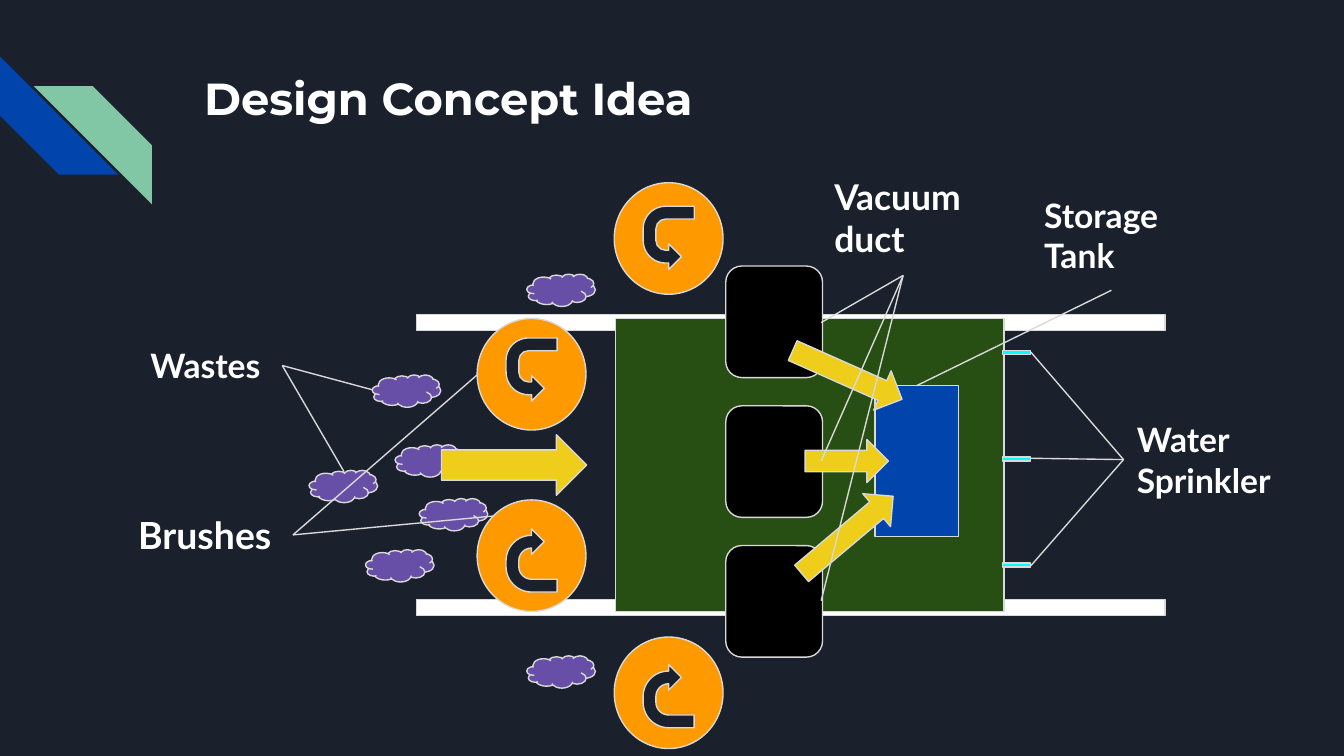
from lxml import etree
from pptx import Presentation
from pptx.dml.color import RGBColor as RGB
from pptx.enum.shapes import MSO_CONNECTOR as LINK, MSO_SHAPE as KIND
from pptx.oxml.ns import qn
from pptx.util import Inches, Pt

HUES = {
    "night": "1B212C", "blue": "0145AC", "mint": "82C7A5", "waste": "674EA7",
    "white": "FFFFFF", "edge": "D9D9D9", "green": "274E13", "brush": "FF9900",
    "flow": "EECE1A", "black": "000000", "water": "00FFFF",
}
HUES = {name: RGB.from_string(code) for name, code in HUES.items()}

# A 16:9 slide
deck = Presentation()
deck.slide_width, deck.slide_height = Inches(10), Inches(10 * 9 / 16)
slide = deck.slides.add_slide(deck.slide_layouts[6])
slide.background.fill.solid()
slide.background.fill.fore_color.rgb = HUES["night"]


def draw(kind, box, hue, turn=0, flip=False, adj=(), edge=True):
    shape = slide.shapes.add_shape(kind, *map(Inches, box))
    shape.shadow.inherit = False
    shape.fill.solid()
    shape.fill.fore_color.rgb = HUES[hue]
    if edge:
        shape.line.color.rgb = HUES["edge"]
        shape.line.width = Pt(0.75)
    else:
        shape.line.fill.background()
    for i, value in enumerate(adj):
        shape.adjustments[i] = value
    shape.rotation = turn
    if flip:
        shape._element.spPr.xfrm.set("flipH", "1")


def write(text, box, size, face="Lato"):
    frame = slide.shapes.add_textbox(*map(Inches, box)).text_frame
    frame.word_wrap = True
    for side in ("left", "right", "top", "bottom"):
        setattr(frame, "margin_" + side, Inches(0.1))
    run = frame.paragraphs[0].add_run()
    run.text = text
    for key, value in {"size": Pt(size), "name": face, "bold": True}.items():
        setattr(run.font, key, value)
    run.font.color.rgb = HUES["white"]


# Corner stripes and title
draw(KIND.DIAGONAL_STRIPE, (0, 0.42, 0.88, 0.88), "blue", 270, edge=False)
draw(KIND.DIAGONAL_STRIPE, (0.25, 0.64, 0.88, 0.88), "mint", flip=True, edge=False)
write("Design Concept Idea", (1.42, 0.43, 7.7, 1), 24, "Montserrat")

# Wastes
for x, y in [(2.77, 2.79), (2.94, 3.31), (3.12, 3.71), (2.72, 4.09),
             (2.3, 3.5), (3.92, 4.88), (3.92, 2.04)]:
    draw(KIND.CLOUD, (x, y, 0.51, 0.24), "waste")

# Rails and vehicle body
for y in (2.34, 4.46):
    draw(KIND.RECTANGLE, (3.1, y, 5.57, 0.12), "white")
draw(KIND.RECTANGLE, (4.58, 2.37, 2.89, 2.18), "green")

# Brushes with their turning arrows; the upper pair is mirrored
for x, y, drop, upper in [(3.55, 2.37, 0.19, True), (3.55, 3.72, 0.26, False),
                          (4.57, 1.36, 0.22, True), (4.57, 4.74, 0.25, False)]:
    draw(KIND.OVAL, (x, y, 0.81, 0.83), "brush")
    bend = 0.44 if upper else 0.5
    draw(KIND.U_TURN_ARROW, (x + 0.17, y + drop, 0.47, 0.38), "night", 270,
         upper, (0.25, 0.25, 0.25, bend, 0.75))

# Vacuum ducts, storage tank and flow arrows
draw(KIND.UP_ARROW, (3.6, 2.92, 0.45, 1.08), "flow", 90)
for i in range(3):
    draw(KIND.ROUNDED_RECTANGLE, (5.4, 1.98 + 1.04 * i, 0.72, 0.83), "black")
draw(KIND.RECTANGLE, (6.51, 2.87, 0.62, 1.12), "blue")
for x, y, wide, turn in [(5.99, 3.27, 0.62, 0), (5.86, 3.82, 0.89, 319.9),
                         (5.86, 2.63, 0.89, 24)]:
    draw(KIND.RIGHT_ARROW, (x, y, wide, 0.32), "flow", turn)

# Water sprinklers
for i in range(3):
    draw(KIND.RECTANGLE, (7.46, 2.61 + 0.79 * i, 0.21, 0.03), "water")

# Labels, each with pointers from one start to its targets
LABELS = [
    ("Brushes", (0.93, 3.71, 1.25, 0.54), 20, (2.18, 3.98),
     [(3.55, 2.79), (3.67, 3.84)]),
    ("Vacuum duct", (6.11, 1.2, 1.21, 0.84), 19, (6.72, 2.05),
     [(6.11, 2.4), (6.11, 3.43), (6.11, 4.47)]),
    ("Storage Tank", (7.67, 1.35, 1.21, 0.81), 18, (8.27, 2.16),
     [(6.82, 2.87)]),
    ("Water Sprinkler", (8.36, 3.02, 1.25, 0.81), 18, (8.36, 3.42),
     [(7.67, 2.62), (7.67, 3.41), (7.67, 4.21)]),
    ("Wastes", (1.02, 2.47, 1.08, 0.5), 18, (2.1, 2.72),
     [(2.77, 2.9), (2.56, 3.51)]),
]
for text, box, size, start, ends in LABELS:
    write(text, box, size)
    for end in ends:
        link = slide.shapes.add_connector(LINK.STRAIGHT, *map(Inches, start + end))
        link.line.color.rgb = HUES["edge"]
        link.line.width = Pt(0.75)
        etree.SubElement(link._element.spPr, qn("a:effectLst"))

deck.save("out.pptx")
